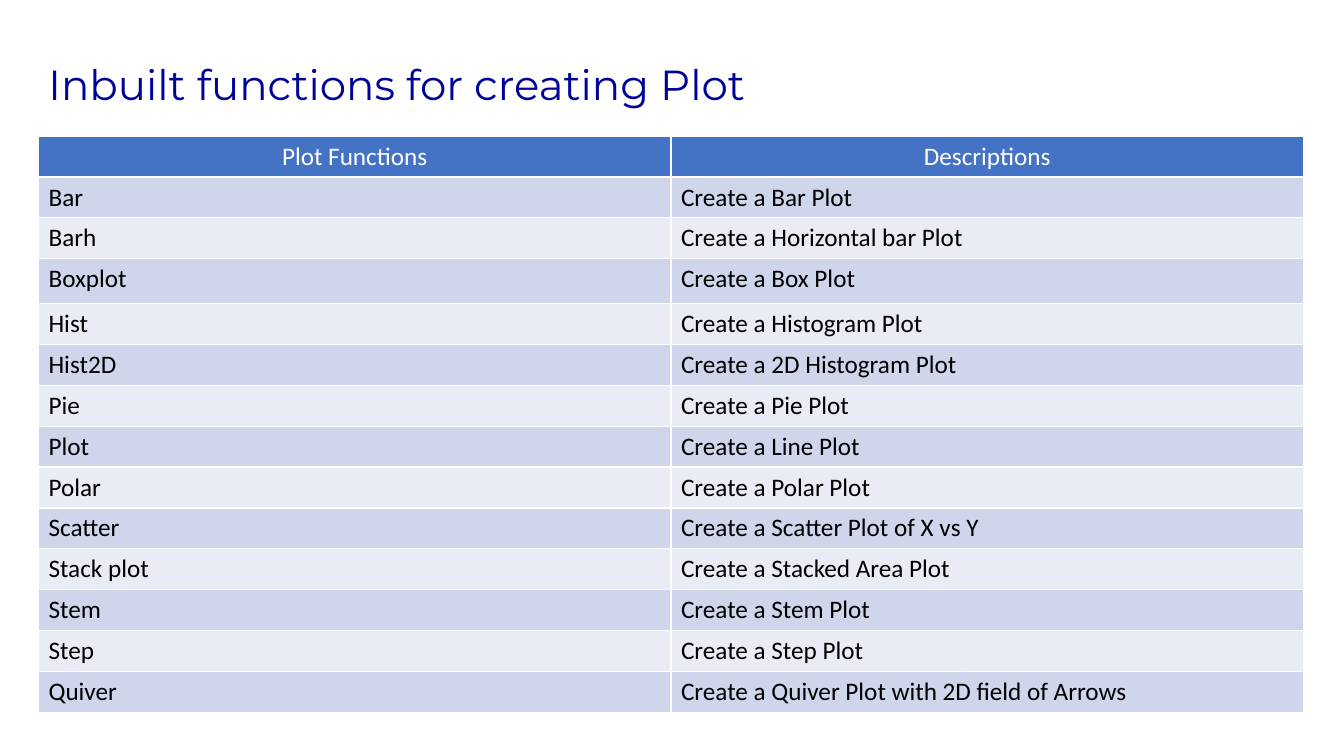
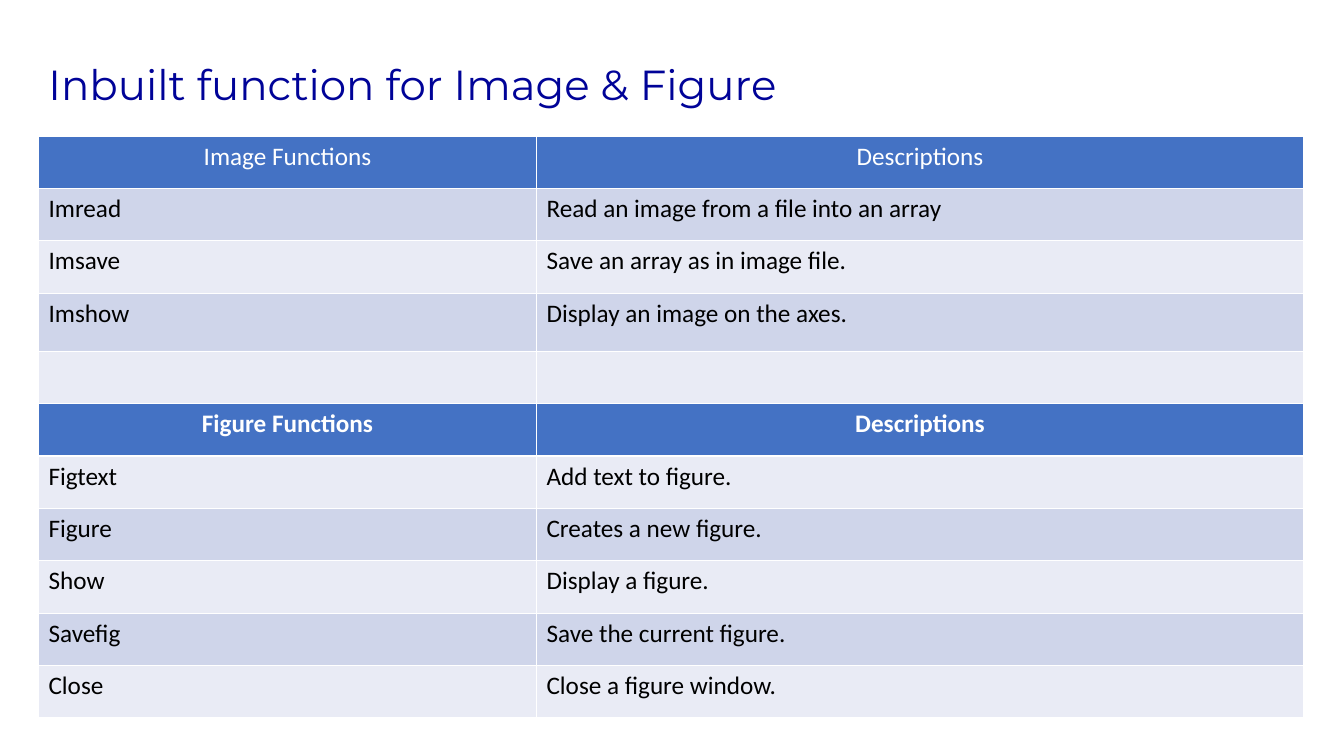
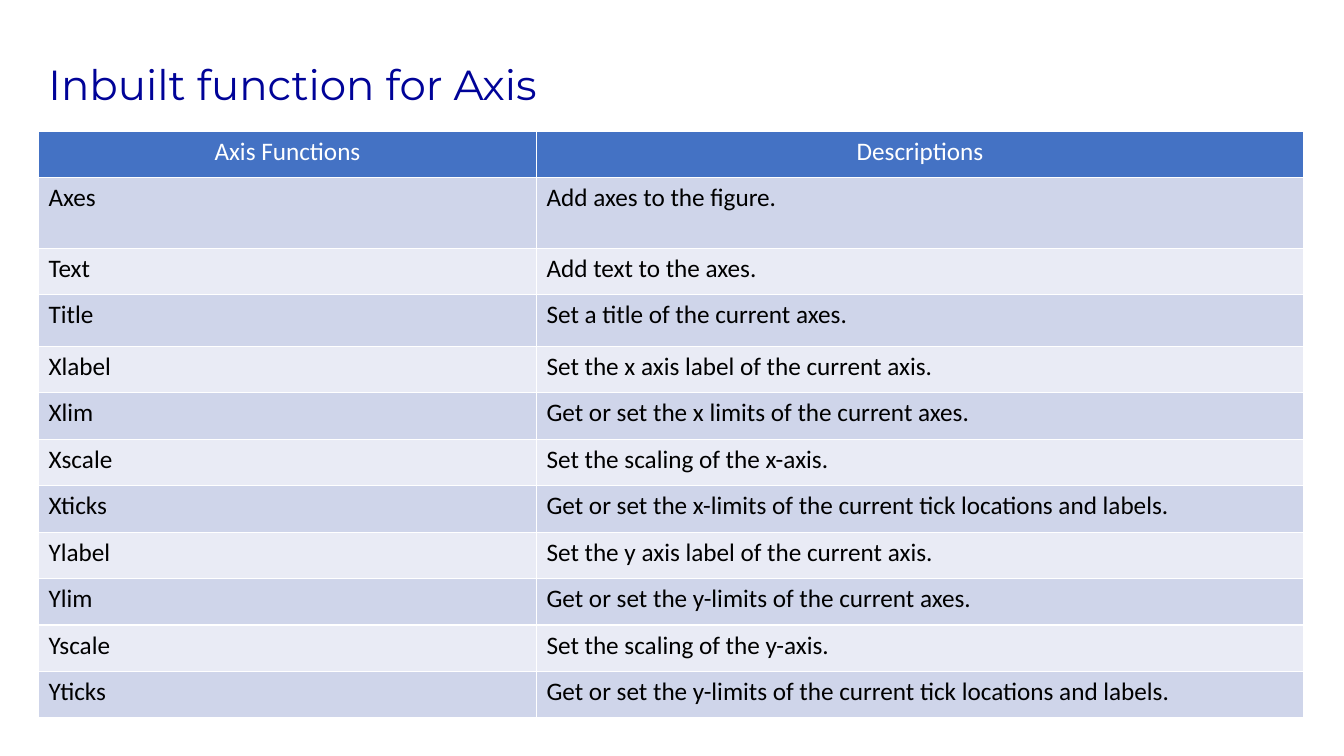
from dataclasses import dataclass

from lxml import etree
from pptx import Presentation
from pptx.dml.color import RGBColor
from pptx.enum.text import MSO_ANCHOR, PP_ALIGN
from pptx.oxml.ns import qn
from pptx.util import Cm, Pt

MIDDLE = MSO_ANCHOR.MIDDLE
LEFT, CENTER = PP_ALIGN.LEFT, PP_ALIGN.CENTER
BLANK_LAYOUT = 6


@dataclass(frozen=True)
class Theme:
    title_color: str = "000398"
    header_fill: str = "4472C4"
    header_text: str = "FFFFFF"
    band_fills: tuple = ("E9EBF5", "CFD5EA")  # even rows, odd rows
    body_text: str = "000000"
    border: str = "FFFFFF"
    title_font: str = "Montserrat"
    table_font: str = "Calibri"
    title_size: int = 30
    table_size: int = 18
    border_width: int = 1


# Page geometry in centimetres
PAGE_WIDTH, PAGE_HEIGHT = 33.87, 19.05
MARGIN = 0.97
CONTENT_WIDTH = 31.88
TITLE_HEIGHT = 2.46


class Deck:
    """Holds the style and the current slide."""

    def __init__(self, theme):
        self.theme = theme
        self.presentation = Presentation()
        self.presentation.slide_width = Cm(PAGE_WIDTH)
        self.presentation.slide_height = Cm(PAGE_HEIGHT)
        self.slide = None

    def new_slide(self, title):
        layout = self.presentation.slide_layouts[BLANK_LAYOUT]
        self.slide = self.presentation.slides.add_slide(layout)
        self.title(title)

    def style(self, paragraph, font_name, size, color, bold=False):
        font = paragraph.font
        font.name, font.size, font.bold = font_name, Pt(size), bold
        font.color.rgb = RGBColor.from_string(color)

    def title(self, text):
        heading = self.slide.shapes.add_textbox(
            Cm(MARGIN), Cm(MARGIN), Cm(CONTENT_WIDTH), Cm(TITLE_HEIGHT))
        frame = heading.text_frame
        frame.word_wrap = True
        frame.vertical_anchor = MIDDLE
        paragraph = frame.paragraphs[0]
        paragraph.text = text
        paragraph.line_spacing = 0.9
        self.style(paragraph, self.theme.title_font,
                   self.theme.title_size, self.theme.title_color)

    def borders(self, cell):
        properties = cell._tc.get_or_add_tcPr()
        for side in ("a:lnL", "a:lnR", "a:lnT", "a:lnB"):
            line = etree.SubElement(properties, qn(side),
                                    w=str(Pt(self.theme.border_width)))
            fill = etree.SubElement(line, qn("a:solidFill"))
            etree.SubElement(fill, qn("a:srgbClr"), val=self.theme.border)

    def cell(self, cell, text, fill, color, align, bold):
        self.borders(cell)  # borders come before the fill in the cell's XML
        cell.fill.solid()
        cell.fill.fore_color.rgb = RGBColor.from_string(fill)
        paragraph = cell.text_frame.paragraphs[0]
        paragraph.text = text
        paragraph.alignment = align
        self.style(paragraph, self.theme.table_font,
                   self.theme.table_size, color, bold)

    def function_table(self, rows, top, first_column, row_height,
                       tall_rows, subheader=None):
        """tall_rows maps a row number to its own height."""
        theme = self.theme
        heights = [tall_rows.get(i, row_height) for i in range(len(rows))]
        table = self.slide.shapes.add_table(
            len(rows), 2, Cm(MARGIN), Cm(top),
            Cm(CONTENT_WIDTH), Cm(sum(heights))).table
        table.columns[0].width = Cm(first_column)
        table.columns[1].width = Cm(CONTENT_WIDTH - first_column)
        for i, (entry, height) in enumerate(zip(rows, heights)):
            table.rows[i].height = Cm(height)
            if i in (0, subheader):
                look = theme.header_fill, theme.header_text, CENTER
            else:
                look = theme.band_fills[i % 2], theme.body_text, LEFT
            for j, text in enumerate(entry):
                self.cell(table.cell(i, j), text, *look, bold=i == subheader)


PLOT_FUNCTIONS = [
    ("Plot Functions", "Descriptions"),
    ("Bar", "Create a Bar Plot"),
    ("Barh", "Create a Horizontal bar Plot"),
    ("Boxplot", "Create a Box Plot"),
    ("Hist", "Create a Histogram Plot"),
    ("Hist2D", "Create a 2D Histogram Plot"),
    ("Pie", "Create a Pie Plot"),
    ("Plot", "Create a Line Plot"),
    ("Polar", "Create a Polar Plot"),
    ("Scatter", "Create a Scatter Plot of X vs Y"),
    ("Stack plot", "Create a Stacked Area Plot"),
    ("Stem", "Create a Stem Plot"),
    ("Step", "Create a Step Plot"),
    ("Quiver", "Create a Quiver Plot with 2D field of Arrows"),
]

IMAGE_AND_FIGURE_FUNCTIONS = [
    ("Image Functions", "Descriptions"),
    ("Imread", "Read an image from a file into an array"),
    ("Imsave", "Save an array as in image file."),
    ("Imshow", "Display an image on the axes."),
    ("", ""),
    ("Figure Functions", "Descriptions"),
    ("Figtext", "Add text to figure."),
    ("Figure", "Creates a new figure."),
    ("Show", "Display a figure."),
    ("Savefig", "Save the current figure."),
    ("Close", "Close a figure window."),
]

AXIS_FUNCTIONS = [
    ("Axis Functions", "Descriptions"),
    ("Axes", "Add axes to the figure."),
    ("Text", "Add text to the axes."),
    ("Title", "Set a title of the current axes."),
    ("Xlabel", "Set the x axis label of the current axis."),
    ("Xlim", "Get or set the x limits of the current axes."),
    ("Xscale", "Set the scaling of the x-axis."),
    ("Xticks", "Get or set the x-limits of the current tick locations and labels."),
    ("Ylabel", "Set the y axis label of the current axis."),
    ("Ylim", "Get or set the y-limits of the current axes."),
    ("Yscale", "Set the scaling of the y-axis."),
    ("Yticks", "Get or set the y-limits of the current tick locations and labels."),
]


def main():
    deck = Deck(Theme())

    # Plot functions
    deck.new_slide("Inbuilt functions for creating Plot")
    deck.function_table(PLOT_FUNCTIONS, top=3.43, first_column=CONTENT_WIDTH / 2,
                        row_height=1.03, tall_rows={3: 1.13})

    # Image and figure functions
    deck.new_slide("Inbuilt function for Image & Figure")
    deck.function_table(IMAGE_AND_FIGURE_FUNCTIONS, top=3.43, first_column=12.55,
                        row_height=1.32, tall_rows={3: 1.46}, subheader=5)

    # Axis functions
    deck.new_slide("Inbuilt function for Axis")
    deck.function_table(AXIS_FUNCTIONS, top=3.3, first_column=12.55,
                        row_height=1.17, tall_rows={1: 1.79, 3: 1.3})

    deck.presentation.save("out.pptx")


if __name__ == "__main__":
    main()
